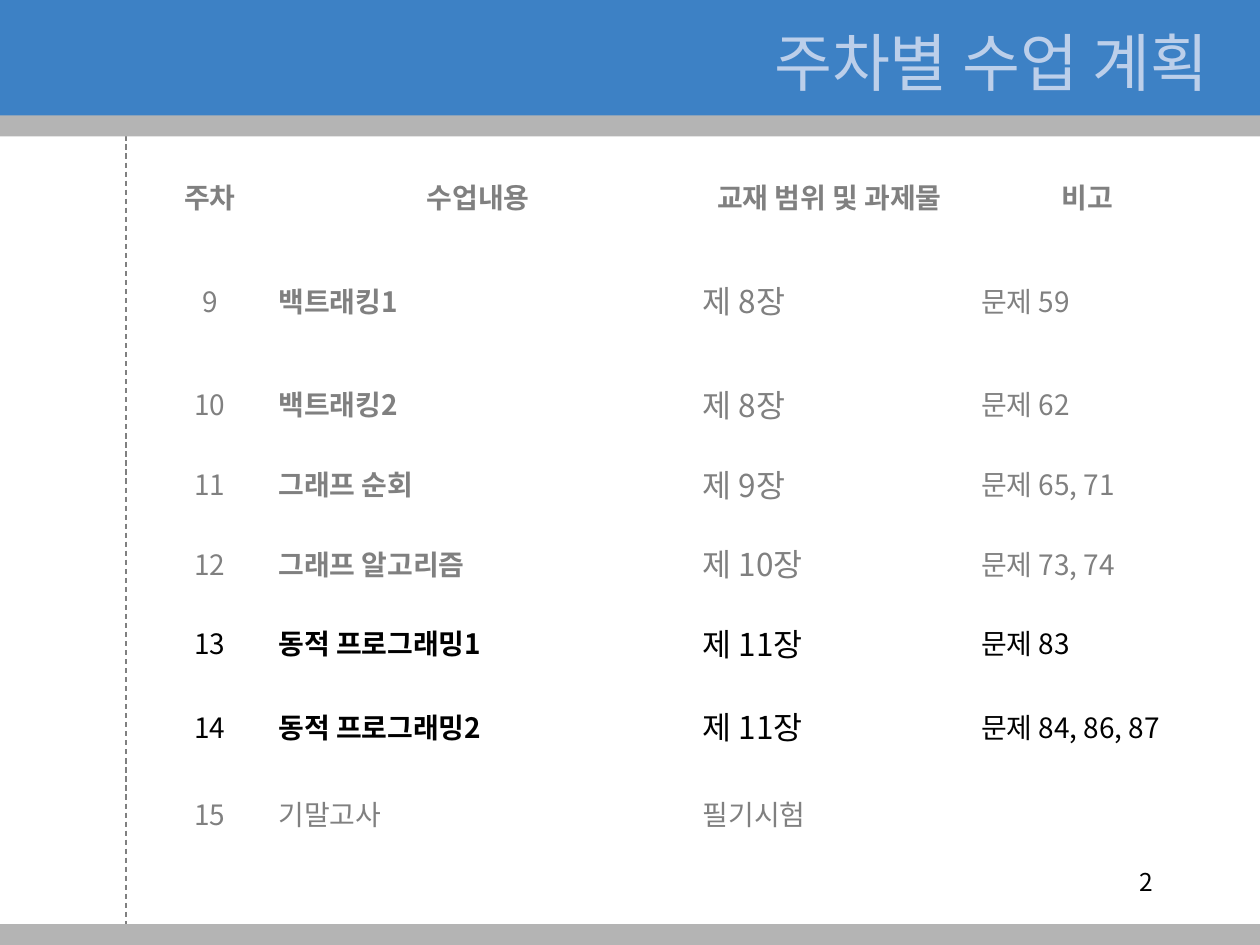
from lxml.etree import SubElement
from pptx import Presentation
from pptx.dml.color import RGBColor
from pptx.enum.dml import MSO_LINE
from pptx.enum.shapes import MSO_CONNECTOR, MSO_SHAPE
from pptx.enum.text import MSO_ANCHOR, MSO_AUTO_SIZE, PP_ALIGN
from pptx.oxml.ns import qn
from pptx.util import Pt

FONT = "Noto Sans CJK KR"
WHITE = RGBColor(0xFF, 0xFF, 0xFF)
BLACK = RGBColor(0x00, 0x00, 0x00)
GRAY = RGBColor(0x80, 0x80, 0x80)
LIGHT_GRAY = RGBColor(0xB4, 0xB4, 0xB4)
BLUE = RGBColor(0x3D, 0x81, 0xC5)
PALE_BLUE = RGBColor(0xBC, 0xCF, 0xEA)


def write(frame, text, size=16, color=GRAY, bold=False, align=PP_ALIGN.LEFT):
    paragraph = frame.paragraphs[0]
    paragraph.alignment = align
    run = paragraph.add_run()
    run.text = text
    run.font.size = Pt(size)
    run.font.bold = bold
    run.font.color.rgb = color
    run.font.name = FONT
    SubElement(run.font._element, qn("a:ea"), typeface=FONT)


presentation = Presentation()
presentation.slide_width = Pt(720)
presentation.slide_height = Pt(540)
slide = presentation.slides.add_slide(presentation.slide_layouts[5])
shapes = slide.shapes

margin_line = shapes.add_connector(MSO_CONNECTOR.STRAIGHT, Pt(72), Pt(0), Pt(72), Pt(540))
margin_line.line.color.rgb = GRAY
margin_line.line.width = Pt(0.75)
margin_line.line.dash_style = MSO_LINE.DASH
SubElement(margin_line._element.spPr, qn("a:effectLst"))

for top, height, color in [(60, 18, LIGHT_GRAY), (0, 66, BLUE), (528, 12, LIGHT_GRAY)]:
    band = shapes.add_shape(MSO_SHAPE.RECTANGLE, Pt(0), Pt(top), Pt(720), Pt(height))
    band.shadow.inherit = False
    band.fill.solid()
    band.fill.fore_color.rgb = color
    band.line.fill.background()

title = shapes.title
title.left, title.top, title.width, title.height = Pt(275), Pt(9.5), Pt(430.5), Pt(50.5)
title.text_frame.auto_size = MSO_AUTO_SIZE.NONE
title.text_frame.vertical_anchor = MSO_ANCHOR.MIDDLE
title.text_frame.margin_right = Pt(15.2)
write(title.text_frame, "주차별 수업 계획", size=36, color=PALE_BLUE, align=PP_ALIGN.RIGHT)
shapes._spTree.append(title._element)

page_number = shapes.add_textbox(Pt(516), Pt(492), Pt(150), Pt(36))
page_number.text_frame.word_wrap = True
write(page_number.text_frame, "2", size=14, color=BLACK, align=PP_ALIGN.RIGHT)

headings = ["주차", "수업내용", "교재 범위 및 과제물", "비고"]
weeks = [
    ("9", "백트래킹1", "제 8장", "문제 59"),
    ("10", "백트래킹2", "제 8장", "문제 62"),
    ("11", "그래프 순회", "제 9장", "문제 65, 71"),
    ("12", "그래프 알고리즘", "제 10장", "문제 73, 74"),
    ("13", "동적 프로그래밍1", "제 11장", "문제 83"),
    ("14", "동적 프로그래밍2", "제 11장", "문제 84, 86, 87"),
    ("15", "기말고사", "필기시험", ""),
]
current_weeks = ("13", "14")
column_widths = [64, 242.5, 159, 136]
row_heights = [45.5, 73, 45.5, 45.5, 45.5, 45.5, 50, 50]

schedule = shapes.add_table(
    len(row_heights), len(column_widths), Pt(88), Pt(89.5),
    Pt(sum(column_widths)), Pt(sum(row_heights))).table
schedule.first_row = False
schedule.horz_banding = False
for column, width in zip(schedule.columns, column_widths):
    column.width = Pt(width)
for row, height in zip(schedule.rows, row_heights):
    row.height = Pt(height)

for row_index, entries in enumerate([headings] + weeks):
    is_heading = row_index == 0
    is_exam = row_index == len(weeks)
    for column_index, entry in enumerate(entries):
        cell = schedule.cell(row_index, column_index)
        cell.fill.solid()
        cell.fill.fore_color.rgb = WHITE
        cell.vertical_anchor = MSO_ANCHOR.MIDDLE
        if entry:
            write(
                cell.text_frame, entry,
                size=18 if column_index == 2 and not (is_heading or is_exam) else 16,
                color=BLACK if entries[0] in current_weeks else GRAY,
                bold=is_heading or (column_index == 1 and not is_exam),
                align=PP_ALIGN.CENTER if is_heading or column_index == 0 else PP_ALIGN.LEFT)

presentation.save("out.pptx")
